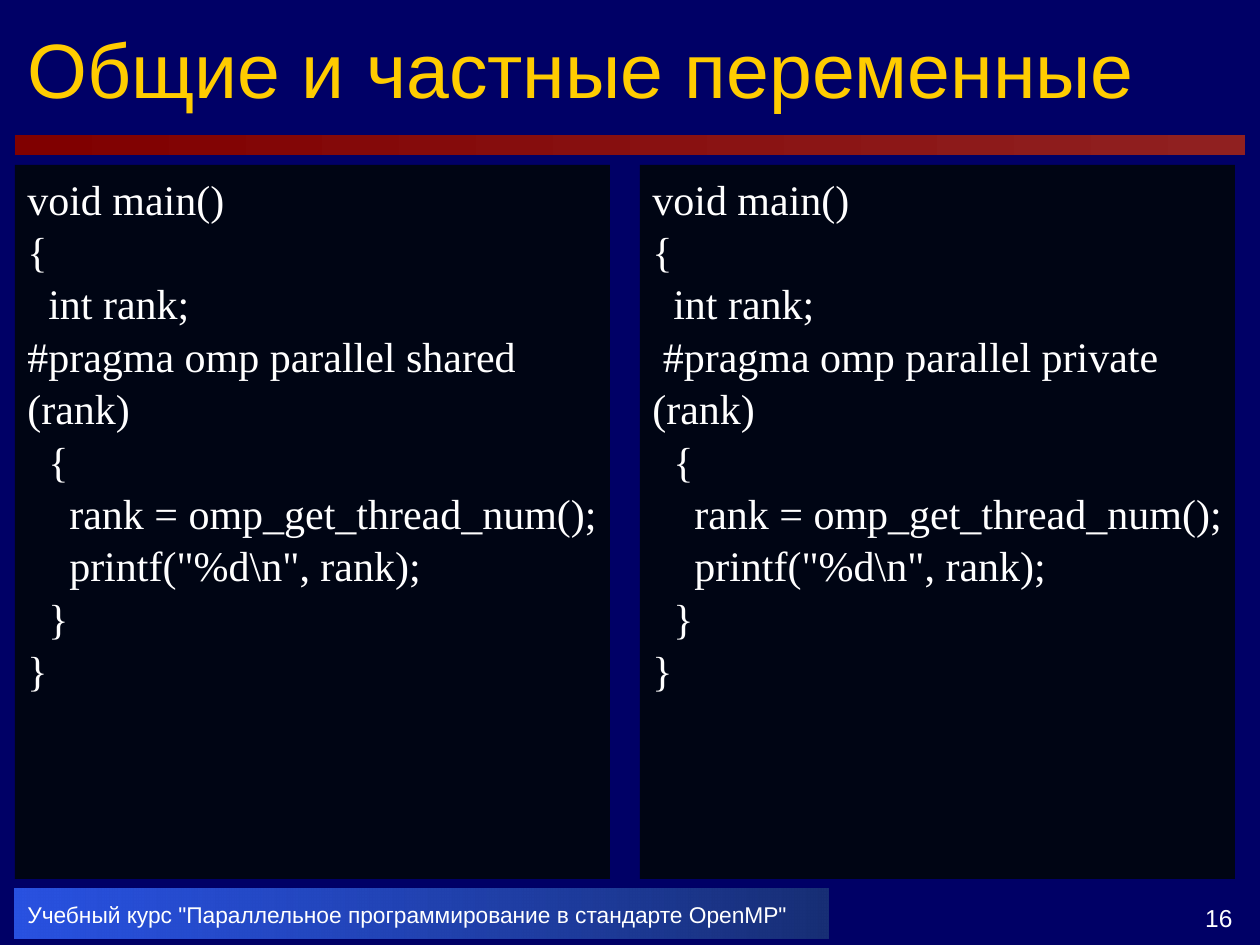
from lxml.etree import SubElement
from pptx import Presentation
from pptx.dml.color import RGBColor
from pptx.enum.shapes import MSO_SHAPE
from pptx.enum.text import MSO_ANCHOR, PP_ALIGN
from pptx.oxml.ns import qn
from pptx.util import Pt

PX = 914400 / 126
COLORS = {
    "background": "000066",
    "title": "FFCC00",
    "text": "FFFFFF",
    "panel": "000514",
    "rule_start": "800000",
    "rule_end": "902020",
    "footer_start": "3366FF",
    "footer_end": "182F76",
}
CODE = """void main()\v{{
  int rank;
{pragma} (rank)
  {{
    rank = omp_get_thread_num();
    printf("%d\\n", rank);
  }}
}}"""


def color(name):
    return RGBColor.from_string(COLORS[name])


def scale(box):
    return [round(length * PX) for length in box]


def add_rectangle(slide, box):
    shape = slide.shapes.add_shape(MSO_SHAPE.RECTANGLE, *scale(box))
    shape.shadow.inherit = False
    shape.line.fill.background()
    return shape


def fill_gradient(shape, start, end):
    shape.fill.gradient()
    shape.fill.gradient_angle = 0
    for stop, name, position in zip(shape.fill.gradient_stops, (start, end), (0, 1)):
        stop.color.rgb = color(name)
        stop.position = position


def write(shape, text, size, font="Arial", color_name="text",
          anchor=MSO_ANCHOR.MIDDLE, align=PP_ALIGN.LEFT, line_spacing=None):
    frame = shape.text_frame
    frame.word_wrap = True
    frame.vertical_anchor = anchor
    frame.text = text
    for paragraph in frame.paragraphs:
        paragraph.alignment = align
        paragraph.line_spacing = line_spacing
        for run in paragraph.runs:
            run.font.name = font
            run.font.size = Pt(size)
            run.font.color.rgb = color(color_name)


def place_title(slide, box, text):
    title = slide.shapes.title
    title.left, title.top, title.width, title.height = scale(box)
    write(title, text, 44, color_name="title")


def add_rule(slide, box):
    fill_gradient(add_rectangle(slide, box), "rule_start", "rule_end")


def add_code_panel(slide, box, pragma):
    panel = add_rectangle(slide, box)
    panel.fill.solid()
    panel.fill.fore_color.rgb = color("panel")
    write(panel, CODE.format(pragma=pragma), 24, font="Times New Roman",
          anchor=MSO_ANCHOR.TOP, line_spacing=1.04)


def add_footer(slide, box, course, number):
    left, top, width, height = box
    number_width = 129
    banner = add_rectangle(slide, (left, top, 814, height))
    fill_gradient(banner, "footer_start", "footer_end")
    first_color = next(banner.fill._xPr.iter(qn("a:srgbClr")))
    SubElement(first_color, qn("a:alpha"), val="80000")
    write(banner, course, 13)
    number_box = slide.shapes.add_textbox(
        *scale((left + width - number_width, top, number_width, height)))
    write(number_box, number, 14, anchor=MSO_ANCHOR.BOTTOM, align=PP_ALIGN.RIGHT)


def main():
    presentation = Presentation()
    presentation.slide_width, presentation.slide_height = scale((1260, 945))
    slide = presentation.slides.add_slide(presentation.slide_layouts[5])
    slide.background.fill.solid()
    slide.background.fill.fore_color.rgb = color("background")

    margin, content_width = 15, 1230
    panel_width, panel_gap = 595, 30
    place_title(slide, (margin, 6, content_width, 124), "Общие и частные переменные")
    add_rule(slide, (margin, 135, content_width, 20))
    pragmas = ("#pragma omp parallel shared", " #pragma omp parallel private")
    for index, pragma in enumerate(pragmas):
        left = margin + index * (panel_width + panel_gap)
        add_code_panel(slide, (left, 165, panel_width, 714), pragma)
    add_footer(slide, (margin, 889, content_width, 50),
               'Учебный курс "Параллельное программирование в стандарте OpenMP"', "16")
    presentation.save("out.pptx")


if __name__ == "__main__":
    main()
